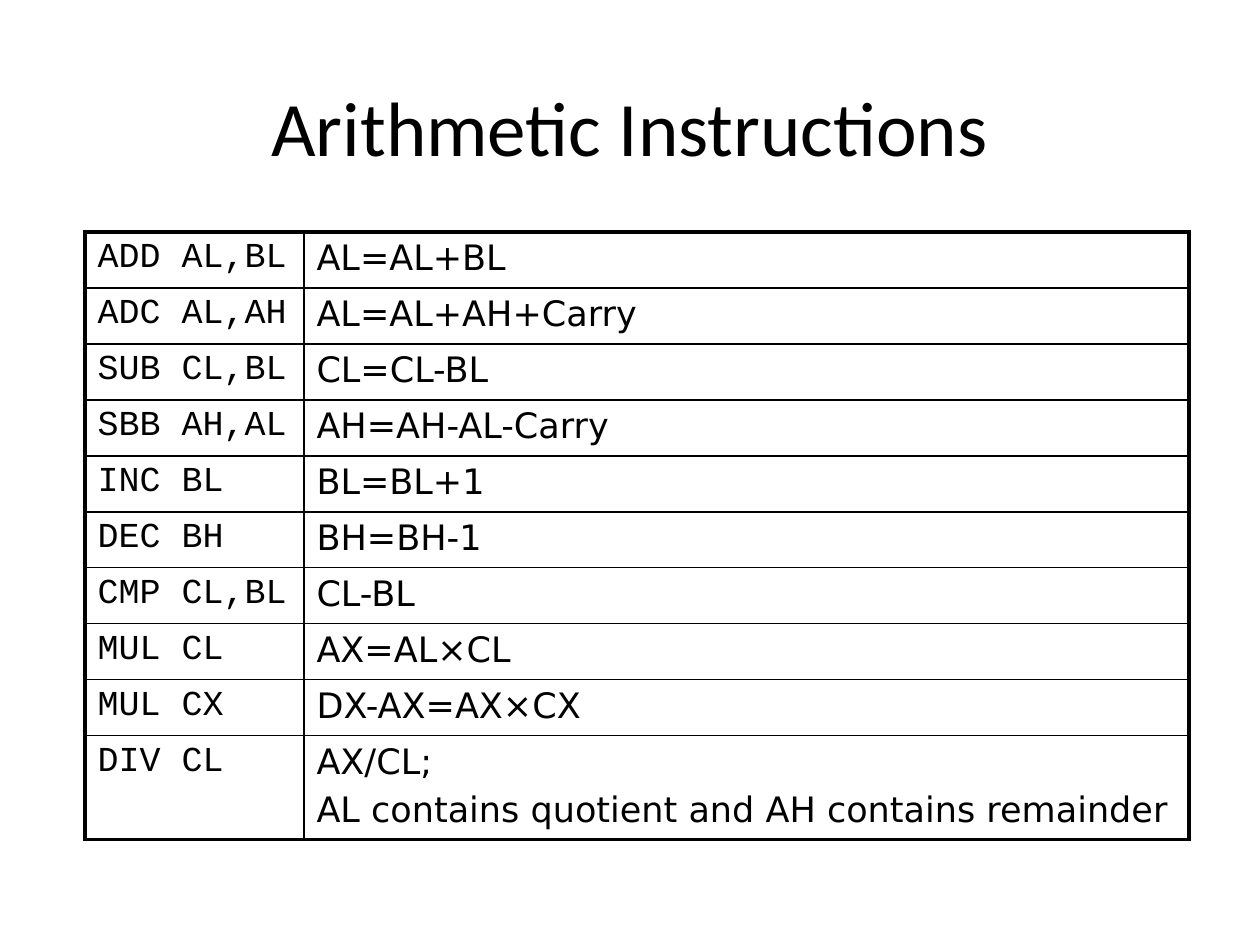
from lxml.etree import SubElement
from pptx import Presentation
from pptx.dml.color import RGBColor
from pptx.enum.text import MSO_ANCHOR, PP_ALIGN
from pptx.oxml.ns import qn
from pptx.util import Emu, Pt

BLACK = RGBColor(0, 0, 0)
WHITE = RGBColor(255, 255, 255)
EMU_PER_PX = 914400 / 126
THIN, THICK = Pt(1), Pt(2.25)
CODE_FONT, RESULT_FONT = "Courier New", "DejaVu Sans"
COLUMN_WIDTHS = (219, 885)
ROW_HEIGHT, LAST_ROW_HEIGHT = 56, 100
INSTRUCTIONS = (
    ("ADD AL,BL", "AL=AL+BL"),
    ("ADC AL,AH", "AL=AL+AH+Carry"),
    ("SUB CL,BL", "CL=CL-BL"),
    ("SBB AH,AL", "AH=AH-AL-Carry"),
    ("INC BL", "BL=BL+1"),
    ("DEC BH", "BH=BH-1"),
    ("CMP CL,BL", "CL-BL"),
    ("MUL CL", "AX=AL×CL"),
    ("MUL CX", "DX-AX=AX×CX"),
    ("DIV CL", "AX/CL;\nAL contains quotient and AH contains remainder"),
)


def px(length):
    """Turn whole pixels into EMU."""
    return Emu(round(length * EMU_PER_PX))


def write_text(frame, text, font, size, align=PP_ALIGN.LEFT, space_before=0):
    """Write each line of the text as a formatted paragraph."""
    frame.word_wrap = True
    for index, line in enumerate(text.split("\n")):
        para = frame.add_paragraph() if index else frame.paragraphs[0]
        para.alignment = align
        para.space_before = Pt(space_before)
        span = para.add_run()
        span.text = line
        span.font.name = font
        span.font.size = Pt(size)
        span.font.color.rgb = BLACK


def add_title(page, text):
    """Add the centred slide title."""
    box = page.shapes.add_textbox(px(79), px(42), px(1102), px(168))
    box.text_frame.vertical_anchor = MSO_ANCHOR.MIDDLE
    write_text(box.text_frame, text, font="Calibri", size=44, align=PP_ALIGN.CENTER)


def set_borders(cell, widths):
    """Draw black cell borders with the given width for each side."""
    properties = cell._tc.get_or_add_tcPr()
    for side, width in widths.items():
        line = SubElement(properties, qn(f"a:ln{side}"), w=str(width))
        fill = SubElement(line, qn("a:solidFill"))
        SubElement(fill, qn("a:srgbClr"), val=str(BLACK))


def add_instruction_table(page):
    """Add the table of instructions and their results."""
    last_row, last_column = len(INSTRUCTIONS) - 1, len(COLUMN_WIDTHS) - 1
    height = ROW_HEIGHT * last_row + LAST_ROW_HEIGHT
    table = page.shapes.add_table(
        last_row + 1, last_column + 1, px(85), px(232), px(sum(COLUMN_WIDTHS)), px(height)
    ).table
    table.first_row = table.horz_banding = False
    for column, width in zip(table.columns, COLUMN_WIDTHS):
        column.width = px(width)
    for row_index, texts in enumerate(INSTRUCTIONS):
        is_last = row_index == last_row
        table.rows[row_index].height = px(LAST_ROW_HEIGHT if is_last else ROW_HEIGHT)
        for column_index, (text, font) in enumerate(zip(texts, (CODE_FONT, RESULT_FONT))):
            cell = table.cell(row_index, column_index)
            set_borders(cell, {
                "L": THICK if column_index == 0 else THIN,
                "R": THICK if column_index == last_column else THIN,
                "T": THICK if row_index == 0 else THIN,
                "B": THICK if is_last else THIN,
            })
            cell.fill.solid()
            cell.fill.fore_color.rgb = WHITE
            write_text(cell.text_frame, text, font=font, size=20, space_before=4)


def main():
    """Build the slide and save the deck."""
    deck = Presentation()
    deck.slide_width, deck.slide_height = px(1260), px(945)
    page = deck.slides.add_slide(deck.slide_layouts[6])
    add_title(page, "Arithmetic Instructions")
    add_instruction_table(page)
    deck.save("out.pptx")


if __name__ == "__main__":
    main()
